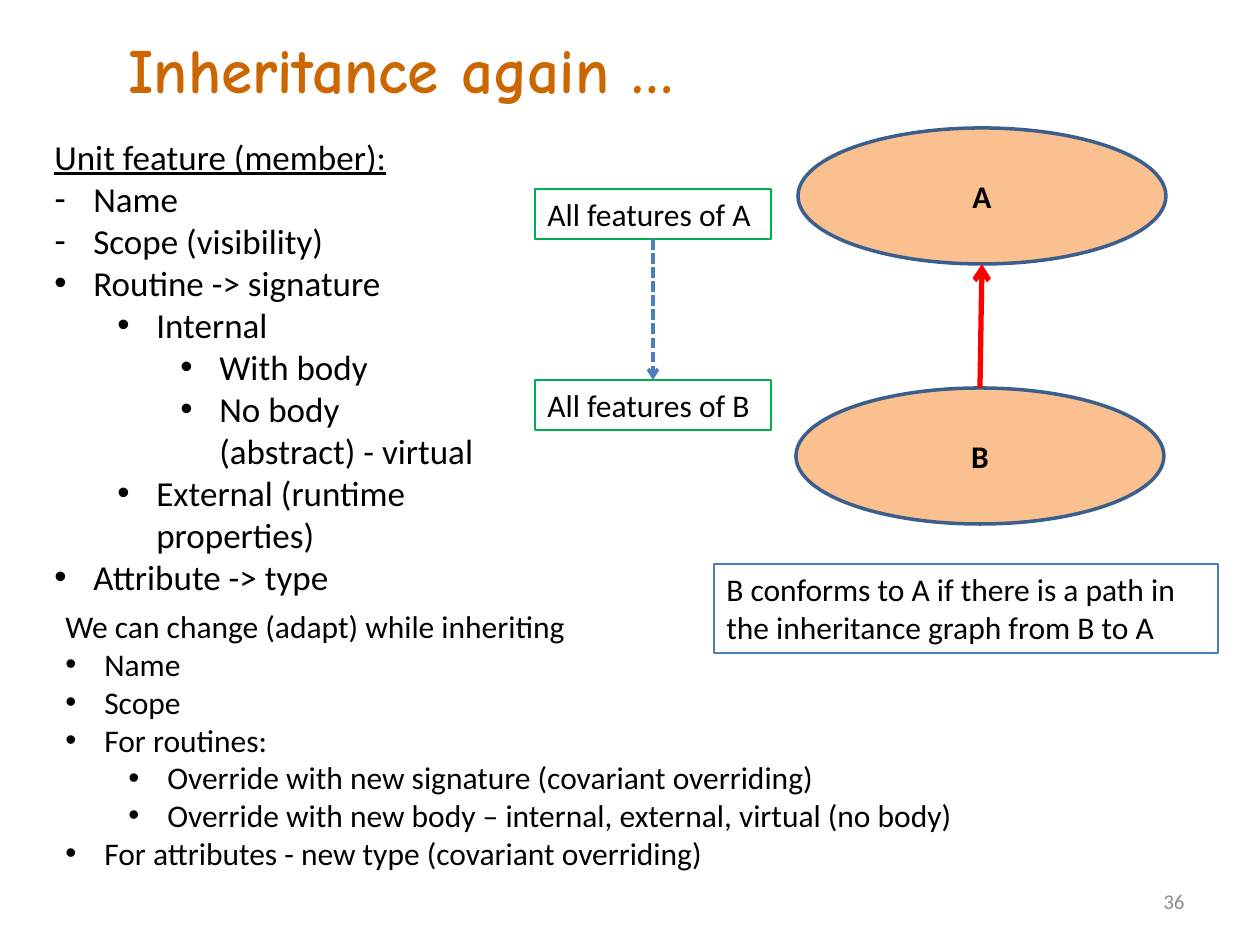
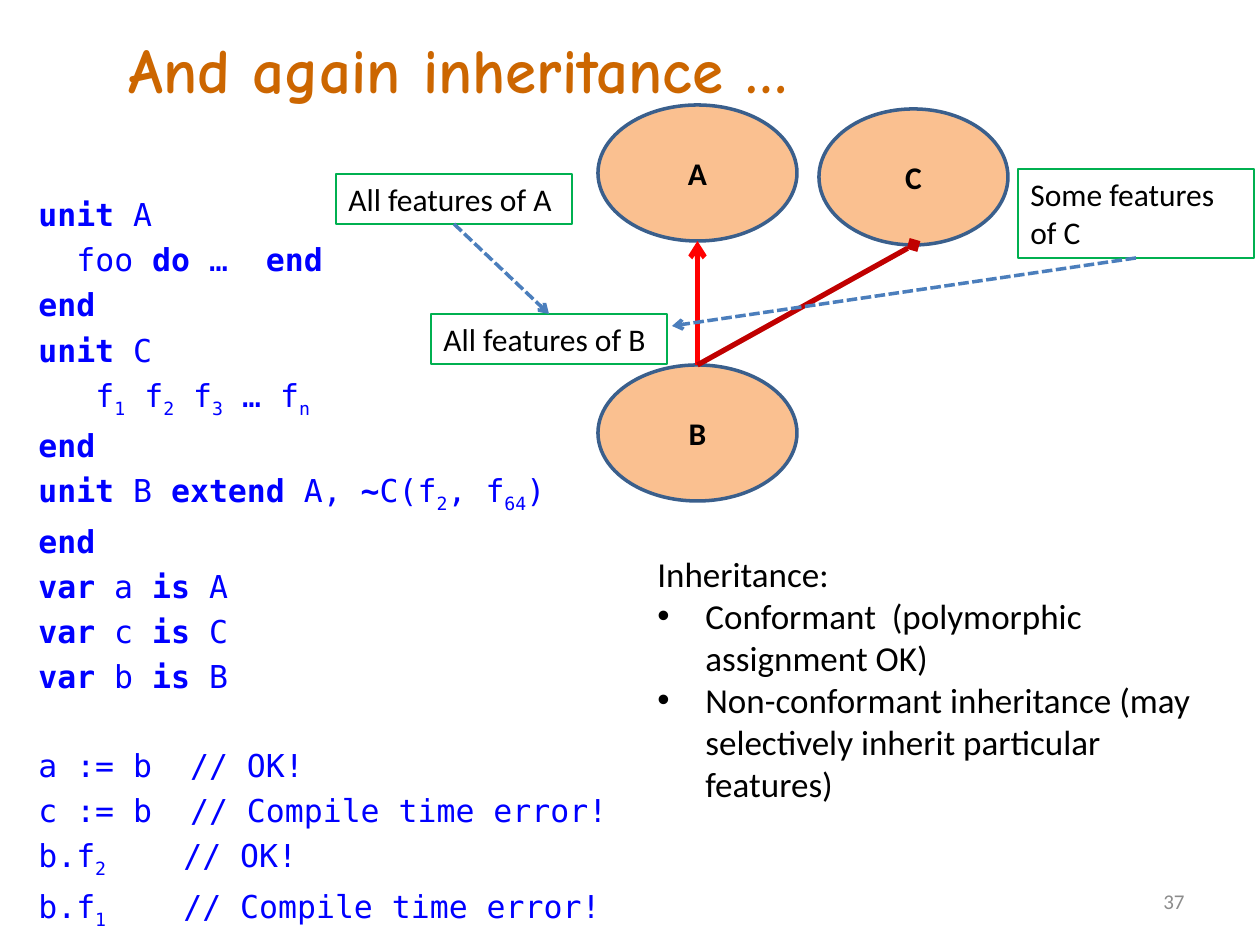
from lxml.etree import SubElement
from pptx import Presentation
from pptx.dml.color import RGBColor
from pptx.enum.dml import MSO_LINE
from pptx.enum.shapes import MSO_CONNECTOR, MSO_SHAPE
from pptx.enum.text import MSO_ANCHOR, PP_ALIGN
from pptx.oxml.ns import qn
from pptx.util import Emu, Pt

PX_PER_INCH = 126
SLIDE_SIZE = (1260, 945)

BLACK = RGBColor(0x00, 0x00, 0x00)
ORANGE = RGBColor(0xCC, 0x66, 0x00)
PEACH = RGBColor(0xFA, 0xC0, 0x90)
NAVY = RGBColor(0x3A, 0x5F, 0x8C)
BLUE = RGBColor(0x4B, 0x7E, 0xBC)
GREEN = RGBColor(0x00, 0xB0, 0x50)
RED = RGBColor(0xFF, 0x00, 0x00)
DARK_RED = RGBColor(0xC0, 0x00, 0x00)
CODE_BLUE = RGBColor(0x00, 0x00, 0xFF)
GRAY = RGBColor(0x8C, 0x8C, 0x8C)

BODY_FONT = "Calibri"
TITLE_FONT = "Comic Neue"
CODE_FONT = "DejaVu Sans Mono"

TITLE_BOX = (116, 24, 1119, 81)
NUMBER_BOX = (1124, 876, 73, 50)
UNIT_HEIGHT = 136
LABEL_WIDTH = 236
LINE_HEIGHTS = {1: 50, 2: 89}
HANG = 39
LEVELS = [HANG, HANG + 63, HANG + 126]

UNIT_FEATURE = [
    (0, "", "Unit feature (member):"),
    (LEVELS[0], "-", "Name"),
    (LEVELS[0], "-", "Scope (visibility)"),
    (LEVELS[0], "•", "Routine -> signature"),
    (LEVELS[1], "•", "Internal"),
    (LEVELS[2], "•", "With body"),
    (LEVELS[2], "•", "No body (abstract) - virtual"),
    (LEVELS[1], "•", "External (runtime properties)"),
    (LEVELS[0], "•", "Attribute -> type"),
]
ADAPTATIONS = [
    (0, "", "We can change (adapt) while inheriting"),
    (LEVELS[0], "•", "Name"),
    (LEVELS[0], "•", "Scope"),
    (LEVELS[0], "•", "For routines:"),
    (LEVELS[1], "•", "Override with new signature (covariant overriding)"),
    (LEVELS[1], "•", "Override with new body – internal, external, virtual (no body)"),
    (LEVELS[0], "•", "For attributes - new type (covariant overriding)"),
]
INHERITANCE_KINDS = [
    (0, "", "Inheritance:"),
    (48, "•", "Conformant  (polymorphic assignment OK)"),
    (48, "•", "Non-conformant inheritance (may selectively inherit particular features)"),
]
DECLARATIONS = [
    (0, "", "*unit* A"),
    (38, "", "foo *do* …  *end*"),
    (0, "", "*end*"),
    (0, "", "*unit* C"),
    (57, "", "f_1_ f_2_ f_3_ … f_n_"),
    (0, "", "*end*"),
    (0, "", "*unit* B *extend* A, *~*C(f_2_, f_64_)"),
    (0, "", "*end*"),
    (0, "", "*var* a *is* A"),
    (0, "", "*var* c *is* C"),
    (0, "", "*var* b *is* B"),
]
STATEMENTS = [
    (0, "", "a := b  // OK!"),
    (0, "", "c := b  // Compile time error!"),
    (0, "", "b.f_2 \t_ // OK!"),
    (0, "", "b.f_1 \t_ // Compile time error!"),
]
CODE_GAP = 4.2
CODE_BREAK = 29.3


def px(length):
    return Emu(round(length * 914400 / PX_PER_INCH))


def write(shape, text, font=BODY_FONT, size=18, color=BLACK, bold=False,
          underline_first=False, align=PP_ALIGN.LEFT, anchor=MSO_ANCHOR.TOP,
          gap=0, breaks=()):
    frame = shape.text_frame
    frame.word_wrap = True
    frame.vertical_anchor = anchor
    items = [(0, "", text)] if isinstance(text, str) else text
    for index, (margin, bullet, content) in enumerate(items):
        paragraph = frame.add_paragraph() if index else frame.paragraphs[0]
        paragraph.alignment = align
        if index and gap:
            paragraph.space_before = Pt(CODE_BREAK if index in breaks else gap)
        properties = paragraph._p.get_or_add_pPr()
        if margin:
            properties.set("marL", str(px(margin)))
        if bullet:
            hang = margin if margin in (LEVELS[0], 48) else HANG
            properties.set("indent", str(-px(hang)))
            SubElement(properties, qn("a:buFont"), typeface="Arial")
            SubElement(properties, qn("a:buChar"), char=bullet)
        for part, stretch in enumerate(content.split("*")):
            for piece, words in enumerate(stretch.split("_")):
                if not words:
                    continue
                run = paragraph.add_run()
                run.text = words
                run.font.name = font
                run.font.size = Pt(size)
                run.font.color.rgb = color
                run.font.bold = bold or part % 2 == 1
                run.font.underline = underline_first and index == 0
                if piece % 2:
                    run._r.get_or_add_rPr().set("baseline", "-25000")


def text_box(slide, box, text, **style):
    shape = slide.shapes.add_textbox(*map(px, box))
    write(shape, text, **style)


def outlined(slide, preset, box, line, width, fill=None):
    shape = slide.shapes.add_shape(preset, *map(px, box))
    shape.shadow.inherit = False
    if fill is None:
        shape.fill.background()
    else:
        shape.fill.solid()
        shape.fill.fore_color.rgb = fill
    shape.line.color.rgb = line
    shape.line.width = Pt(width)
    return shape


def unit(slide, name, left, top, width):
    box = (left, top, width, UNIT_HEIGHT)
    ellipse = outlined(slide, MSO_SHAPE.OVAL, box, NAVY, 2, PEACH)
    write(ellipse, name, bold=True, align=PP_ALIGN.CENTER, anchor=MSO_ANCHOR.MIDDLE)
    return box


def label(slide, text, left, top, width=LABEL_WIDTH, lines=1, line=GREEN):
    box = (left, top, width, LINE_HEIGHTS[lines])
    write(outlined(slide, MSO_SHAPE.RECTANGLE, box, line, 0.75), text)
    return box


def top_of(box):
    return box[0] + box[2] / 2, box[1]


def bottom_of(box):
    return box[0] + box[2] / 2, box[1] + box[3]


def arrow(slide, start, end, color, width, head="arrow", dashed=False):
    connector = slide.shapes.add_connector(MSO_CONNECTOR.STRAIGHT, *map(px, start + end))
    connector.line.color.rgb = color
    connector.line.width = Pt(width)
    if dashed:
        connector.line.dash_style = MSO_LINE.SQUARE_DOT
    SubElement(connector.line._get_or_add_ln(), qn("a:tailEnd"), type=head)
    SubElement(connector._element.spPr, qn("a:effectLst"))


def inherits(slide, child, parent, color=RED, head="arrow"):
    arrow(slide, top_of(child), bottom_of(parent), color, 3, head)


def passes(slide, start, end):
    arrow(slide, start, end, BLUE, 2, dashed=True)


def new_slide(deck, title, number):
    slide = deck.slides.add_slide(deck.slide_layouts[6])
    text_box(slide, TITLE_BOX, title, font=TITLE_FONT, size=36, color=ORANGE, bold=True)
    text_box(slide, NUMBER_BOX, str(number), size=12, color=GRAY,
             align=PP_ALIGN.RIGHT, anchor=MSO_ANCHOR.MIDDLE)
    return slide


def single_inheritance(deck):
    slide = new_slide(deck, "Inheritance again …", 36)
    unit_b = unit(slide, "B", 796, 388, 368)
    unit_a = unit(slide, "A", 798, 128, 368)
    inherits(slide, unit_b, unit_a)
    features_a = label(slide, "All features of A", 535, 189)
    features_b = label(slide, "All features of B", 535, 380)
    passes(slide, bottom_of(features_a), top_of(features_b))
    text_box(slide, (42, 129, 451, 479), UNIT_FEATURE, size=20, underline_first=True)
    text_box(slide, (53, 601, 1081, 280), ADAPTATIONS)
    label(slide, "B conforms to A if there is a path in the inheritance graph from B to A",
          714, 564, width=504, lines=2, line=BLUE)


def multiple_inheritance(deck):
    slide = new_slide(deck, "And again inheritance …", 37)
    text_box(slide, (645, 546, 562, 267), INHERITANCE_KINDS, size=20)
    unit_b = unit(slide, "B", 598, 365, 199)
    unit_a = unit(slide, "A", 598, 105, 199)
    inherits(slide, unit_b, unit_a)
    features_a = label(slide, "All features of A", 336, 174)
    features_b = label(slide, "All features of B", 431, 314)
    passes(slide, bottom_of(features_a), top_of(features_b))
    unit_c = unit(slide, "C", 819, 109, 189)
    inherits(slide, unit_b, unit_c, DARK_RED, "diamond")
    features_c = label(slide, "Some features of C", 1018, 169, lines=2)
    passes(slide, bottom_of(features_c), (672, 326))
    text_box(slide, (26, 189, 620, 738), DECLARATIONS + STATEMENTS, font=CODE_FONT,
             color=CODE_BLUE, gap=CODE_GAP, breaks=[len(DECLARATIONS)])


def main():
    deck = Presentation()
    deck.slide_width, deck.slide_height = map(px, SLIDE_SIZE)
    single_inheritance(deck)
    multiple_inheritance(deck)
    deck.save("out.pptx")


if __name__ == "__main__":
    main()
